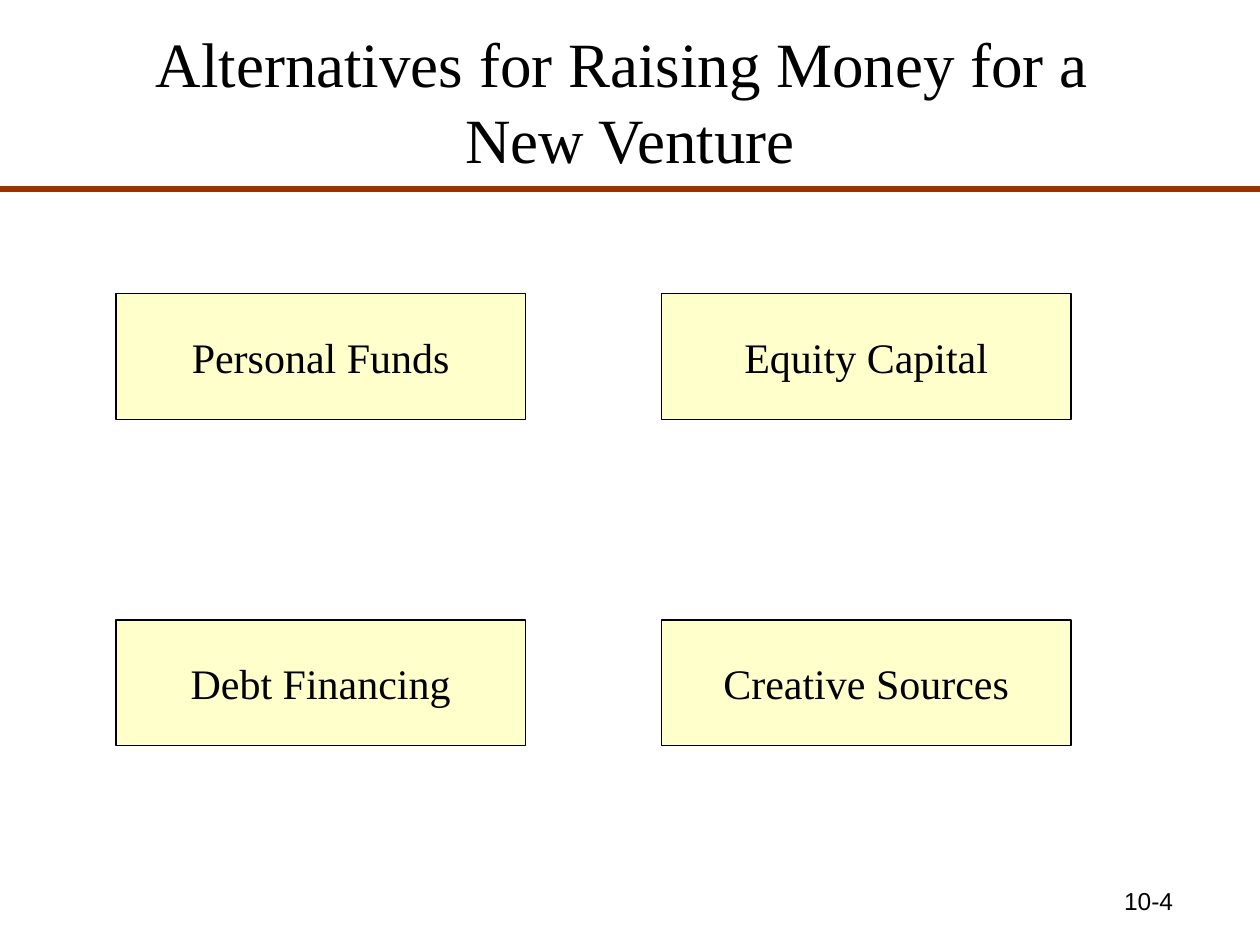
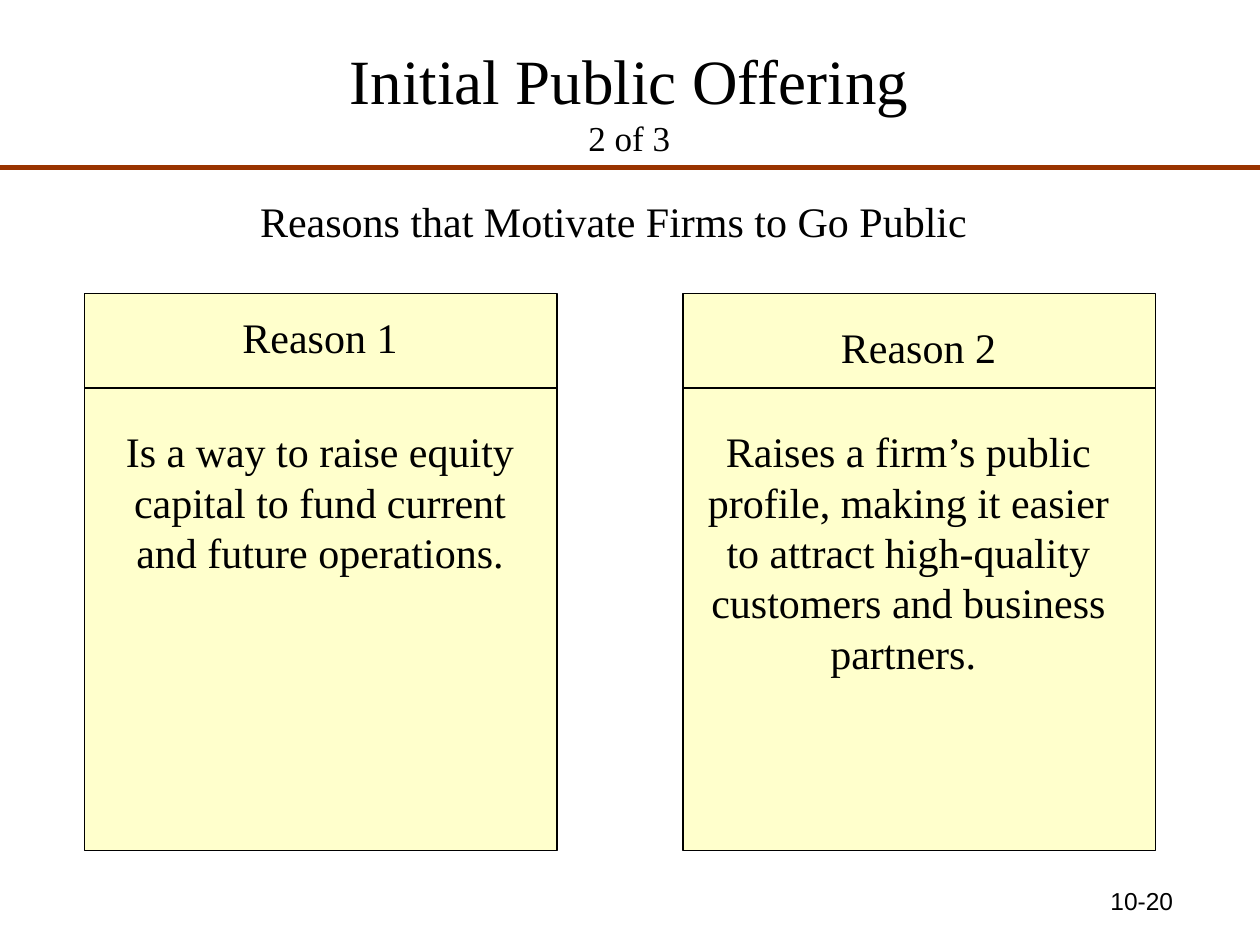
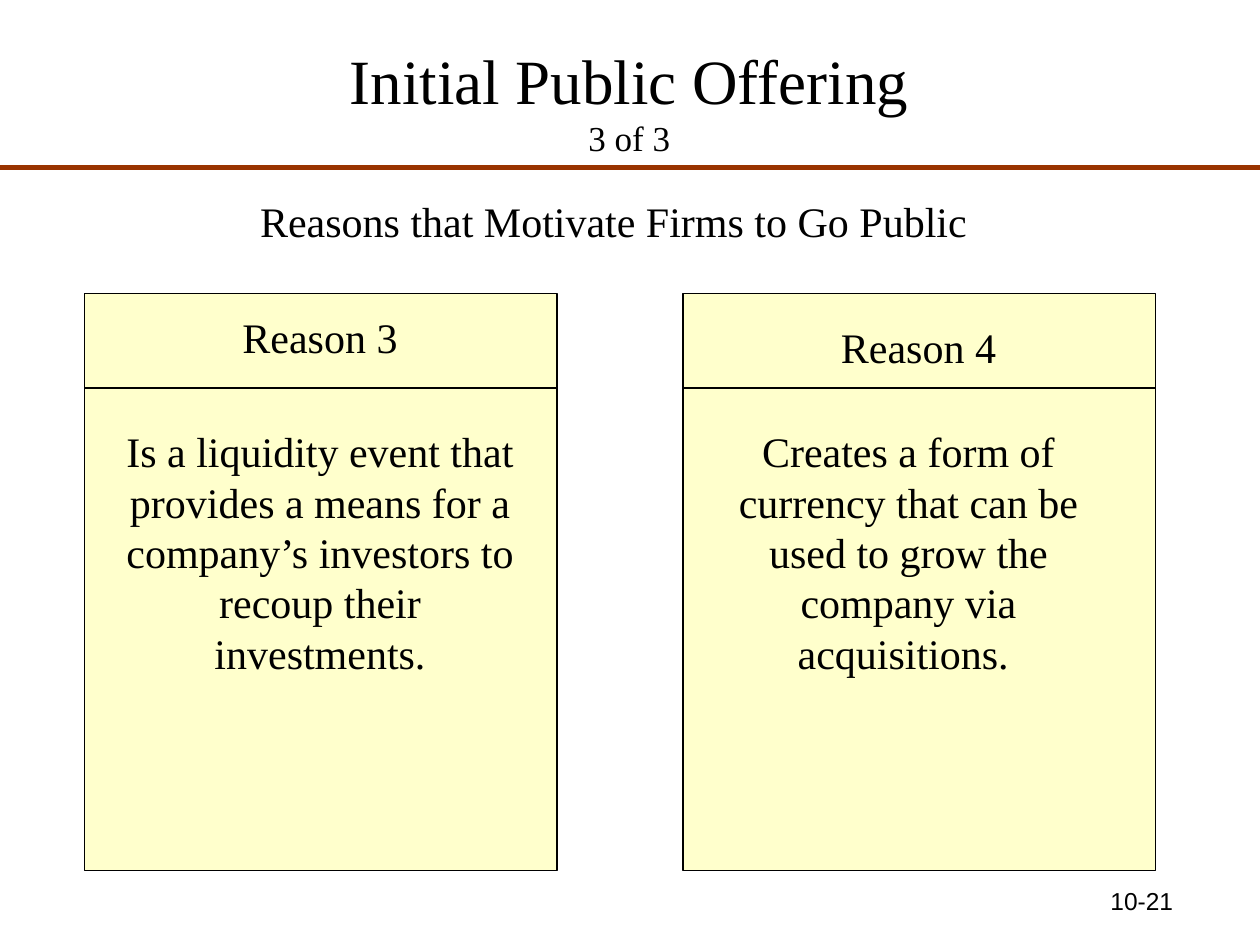
from lxml import etree
from pptx import Presentation
from pptx.dml.color import RGBColor
from pptx.enum.shapes import MSO_CONNECTOR, MSO_SHAPE
from pptx.enum.text import MSO_ANCHOR, PP_ALIGN
from pptx.oxml.ns import qn
from pptx.util import Inches, Pt

CENTER, RIGHT = PP_ALIGN.CENTER, PP_ALIGN.RIGHT
TOP, MIDDLE = MSO_ANCHOR.TOP, MSO_ANCHOR.MIDDLE
RECTANGLE, STRAIGHT = MSO_SHAPE.RECTANGLE, MSO_CONNECTOR.STRAIGHT

COLORS = {"ink": "000000", "rule": "993300", "panel": "FFFFCC"}
SERIF, SANS = "Times New Roman", "Arial"
TITLE_SIZE, SUBTITLE_SIZE, BODY_SIZE, NUMBER_SIZE = 36, 20, 24, 14
NUMBER_AT = (7.08, 6.98, 2.33, 0.52)


def add_text(slide, text, at, size=BODY_SIZE, font=SERIF, align=CENTER,
             anchor=TOP, boxed=False):
    position = [Inches(value) for value in at]
    if boxed:
        shape = slide.shapes.add_shape(RECTANGLE, *position)
        shape.shadow.inherit = False
        shape.fill.solid()
        shape.fill.fore_color.rgb = RGBColor.from_string(COLORS["panel"])
        shape.line.color.rgb = RGBColor.from_string(COLORS["ink"])
        shape.line.width = Pt(0.75)
    else:
        shape = slide.shapes.add_textbox(*position)
    frame = shape.text_frame
    frame.word_wrap = True
    frame.vertical_anchor = anchor
    frame.text = text
    paragraph = frame.paragraphs[0]
    paragraph.alignment = align
    for run in paragraph.runs:
        run.font.name = font
        run.font.size = Pt(size)
        run.font.color.rgb = RGBColor.from_string(COLORS["ink"])
    return paragraph


def add_rule(slide, left, right, y, color, width):
    rule = slide.shapes.add_connector(
        STRAIGHT, Inches(left), Inches(y), Inches(right), Inches(y))
    rule.line.color.rgb = RGBColor.from_string(COLORS[color])
    rule.line.width = Pt(width)
    etree.SubElement(rule._element.spPr, qn("a:effectLst"))


prs = Presentation()
prs.slide_width, prs.slide_height = Inches(10), Inches(7.5)
blank = prs.slide_layouts[6]

# Funding alternatives in a two by two grid
slide = prs.slides.add_slide(blank)
add_text(slide, "Alternatives for Raising Money for a \vNew Venture",
         (0.5, 0.17, 9, 1.25), TITLE_SIZE, anchor=MIDDLE)
add_rule(slide, 0, 10, 1.5, "rule", 3)
alternatives = ["Personal Funds", "Equity Capital",
                "Debt Financing", "Creative Sources"]
for index, alternative in enumerate(alternatives):
    row, column = divmod(index, 2)
    add_text(slide, alternative,
             (0.92 + column * 4.33, 2.33 + row * 2.59, 3.25, 1),
             anchor=MIDDLE, boxed=True)
add_text(slide, "10-4", NUMBER_AT, NUMBER_SIZE, SANS, RIGHT)

# Reasons to go public, two per slide
offering_slides = [
    ("2 of 3", "10-20", 4.42, [
        ("Reason 1", "Is a way to raise equity capital to fund current "
                     "and future operations."),
        ("Reason 2", "Raises a firm’s public profile, making it easier to "
                     "attract high-quality customers and business partners. "),
    ]),
    ("3 of 3", "10-21", 4.58, [
        ("Reason 3", "Is a liquidity event that provides a means for a "
                     "company’s investors to recoup their investments."),
        ("Reason 4", "Creates a form of currency that can be used to grow "
                     "the company via acquisitions. "),
    ]),
]
# Panel left, heading top and explanation left for each column
columns = [(0.67, 2.42, 0.83), (5.42, 2.5, 5.5)]

for part, number, panel_height, reasons in offering_slides:
    slide = prs.slides.add_slide(blank)
    add_rule(slide, 0, 10, 1.33, "rule", 3)
    title = add_text(slide, f"Initial Public Offering\v{part}",
                     (0.33, 0.17, 9.33, 1.25), TITLE_SIZE, anchor=MIDDLE)
    title.runs[-1].font.size = Pt(SUBTITLE_SIZE)
    add_text(slide, "Reasons that Motivate Firms to Go Public",
             (1.58, 1.5, 6.58, 0.5))

    for (heading, explanation), column in zip(reasons, columns):
        left, heading_top, explanation_left = column
        add_text(slide, "", (left, 2.33, 3.75, panel_height), boxed=True)
        add_rule(slide, left, left + 3.75, 3.08, "ink", 0.75)
        add_text(slide, heading, (left + 0.08, heading_top, 3.58, 0.5))
        add_text(slide, explanation, (explanation_left, 3.33, 3.42, 2.1))

    add_text(slide, number, NUMBER_AT, NUMBER_SIZE, SANS, RIGHT)

prs.save("out.pptx")
